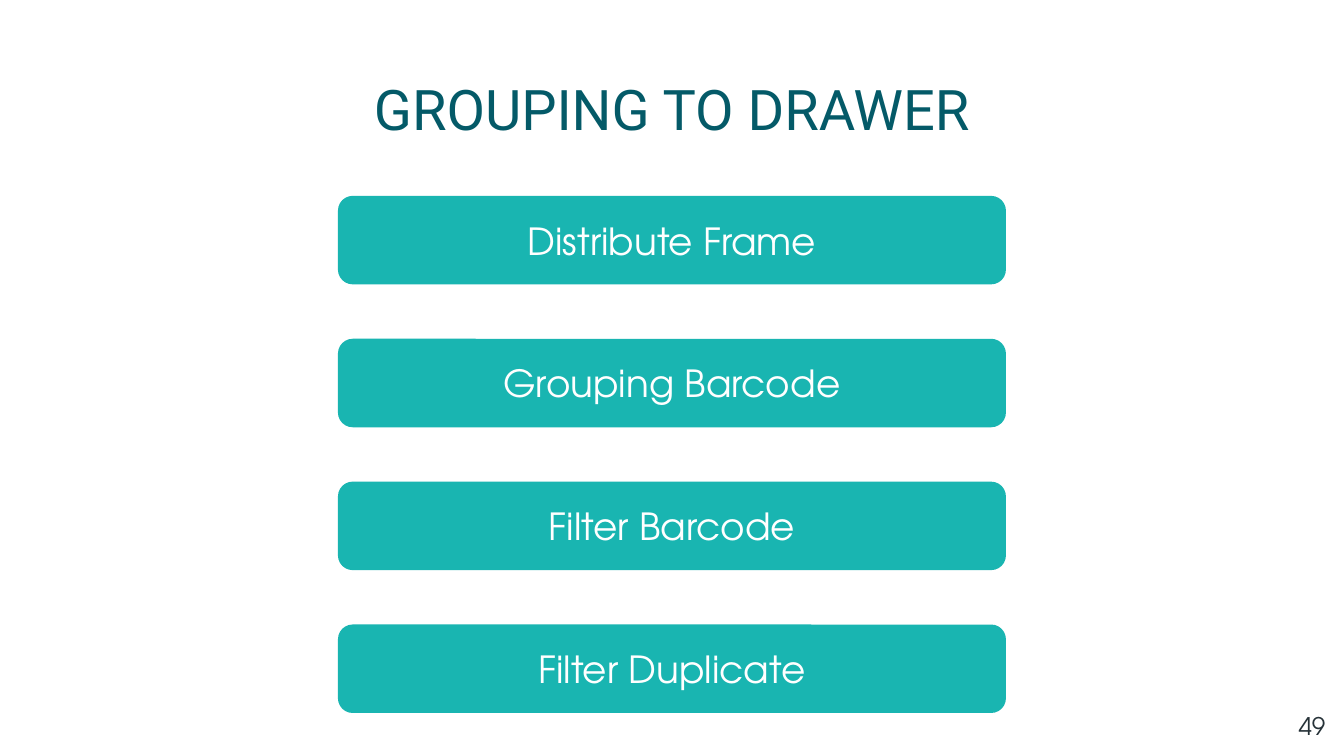
from pptx import Presentation
from pptx.dml.color import RGBColor
from pptx.enum.shapes import MSO_SHAPE
from pptx.enum.text import MSO_ANCHOR, PP_ALIGN
from pptx.util import Inches, Pt

WHITE = RGBColor(0xFF, 0xFF, 0xFF)
TEAL = RGBColor(0x19, 0xB5, 0xB1)
DEEP_TEAL = RGBColor(0x04, 0x5A, 0x68)
SLATE = RGBColor(0x26, 0x32, 0x38)

COLUMNS = ROWS = 100
STEPS = ["Distribute Frame", "Grouping Barcode", "Filter Barcode", "Filter Duplicate"]
FIRST_STEP_ROW, STEP_PITCH = 25.92, 18.9


def write_text(shape, text, *, size, color, font,
               align=PP_ALIGN.CENTER, anchor=MSO_ANCHOR.MIDDLE):
    frame = shape.text_frame
    frame.word_wrap = True
    frame.vertical_anchor = anchor
    frame.margin_left = frame.margin_right = Inches(0.1)
    frame.margin_top = frame.margin_bottom = Inches(0.1)
    paragraph = frame.paragraphs[0]
    paragraph.alignment = align
    run = paragraph.add_run()
    run.text = text
    run.font.name = font
    run.font.size = Pt(size)
    run.font.color.rgb = color


class DrawerSlide:
    heading_font = "Roboto"
    body_font = "TeX Gyre Adventor"

    def __init__(self, presentation):
        self.slide = presentation.slides.add_slide(presentation.slide_layouts[6])
        self.column = presentation.slide_width / COLUMNS
        self.row = presentation.slide_height / ROWS

    def place(self, left, top, width, height):
        return (round(left * self.column), round(top * self.row),
                round(width * self.column), round(height * self.row))

    def page_number(self, text, *area):
        box = self.slide.shapes.add_textbox(*self.place(*area))
        write_text(box, text, size=13, color=SLATE, font=self.body_font,
                   align=PP_ALIGN.RIGHT, anchor=MSO_ANCHOR.TOP)

    def title(self, text, *area):
        box = self.slide.shapes.add_textbox(*self.place(*area))
        write_text(box, text, size=30, color=DEEP_TEAL, font=self.heading_font)

    def step(self, text, *area):
        shape = self.slide.shapes.add_shape(MSO_SHAPE.ROUNDED_RECTANGLE, *self.place(*area))
        shape.shadow.inherit = False
        shape.fill.solid()
        shape.fill.fore_color.rgb = TEAL
        shape.line.fill.background()
        write_text(shape, text, size=20, color=WHITE, font=self.body_font)


def main():
    presentation = Presentation()
    presentation.slide_width = Inches(10)
    presentation.slide_height = presentation.slide_width * 9 // 16

    drawer = DrawerSlide(presentation)
    drawer.page_number("49", 93.6, 92.35, 6, 7.65)
    drawer.title("GROUPING TO DRAWER", 23.65, 11.2, 52.7, 6.2)
    for index, label in enumerate(STEPS):
        drawer.step(label, 25.15, FIRST_STEP_ROW + index * STEP_PITCH, 49.7, 11.7)

    presentation.save("out.pptx")


if __name__ == "__main__":
    main()
